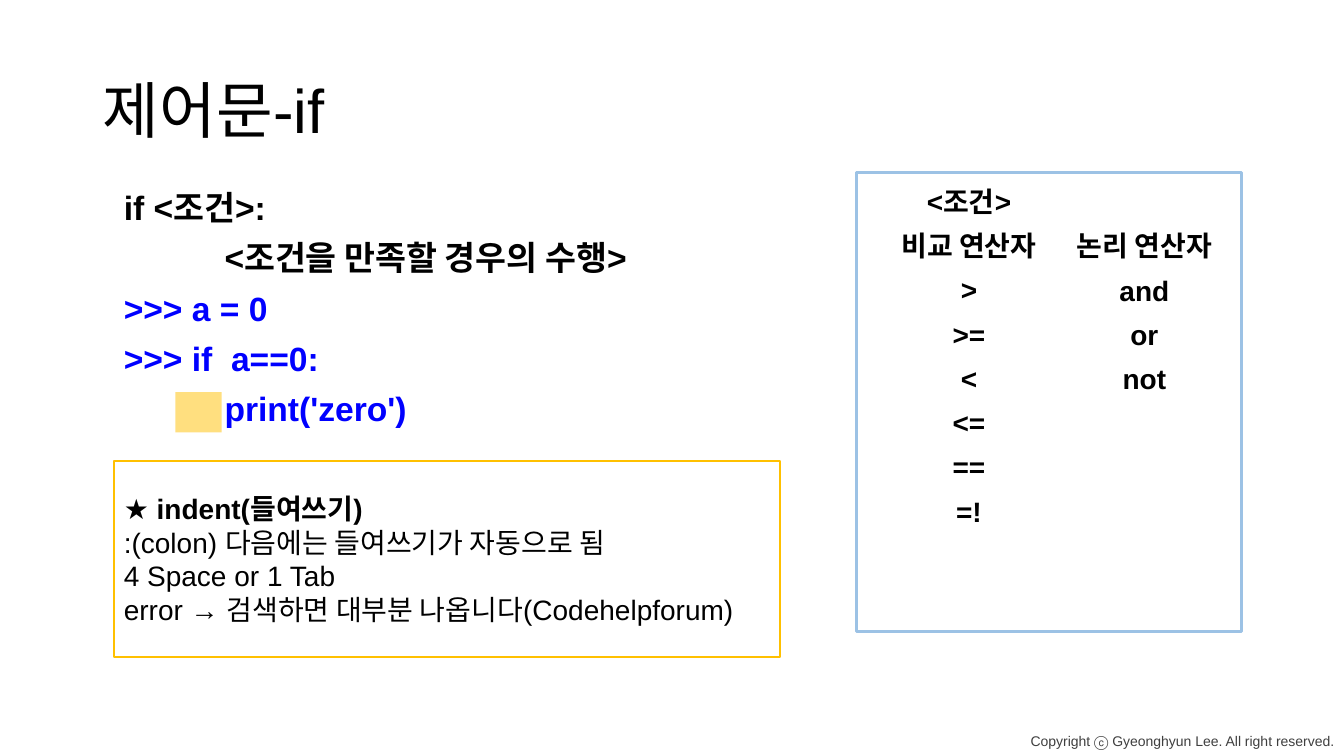
from lxml import etree
from pptx import Presentation
from pptx import util as u
from pptx.dml.color import RGBColor
from pptx.enum import shapes, text
from pptx.oxml import ns

BLACK = RGBColor(0x00, 0x00, 0x00)
GREY = RGBColor(0x3F, 0x3F, 0x3F)
CODE_BLUE = RGBColor(0x00, 0x00, 0xFF)
FRAME_BLUE = RGBColor(0x9C, 0xC2, 0xE5)
AMBER = RGBColor(0xFF, 0xC0, 0x00)
FONT = "Arial"


def write(paragraph, words, size=20, bold=False, color=BLACK, align=text.PP_ALIGN.LEFT,
          spacing=1.0, before=0, indent=0):
    paragraph.alignment = align
    paragraph.line_spacing = spacing
    paragraph.space_before = u.Pt(before)
    if indent:
        paragraph._p.get_or_add_pPr().set("marL", str(u.Cm(indent)))
    run = paragraph.add_run()
    run.text = words
    run.font.name = FONT
    run.font.size = u.Pt(size)
    run.font.bold = bold
    run.font.color.rgb = color


def add_lines(frame, lines, **common):
    frame.word_wrap = True
    for number, (words, extra) in enumerate(lines):
        paragraph = frame.add_paragraph() if number else frame.paragraphs[0]
        before = 10 if number and common.get("spacing") else 0
        write(paragraph, words, before=before, **{**common, **extra})


def add_text(slide, box, lines, **common):
    shape = slide.shapes.add_textbox(*map(u.Cm, box))
    add_lines(shape.text_frame, lines, **common)


def add_rectangle(slide, box, line=None, width=0, fill=None, opacity=100):
    shape = slide.shapes.add_shape(shapes.MSO_SHAPE.RECTANGLE, *map(u.Cm, box))
    shape.shadow.inherit = False
    if fill is None:
        shape.fill.background()
    else:
        shape.fill.solid()
        shape.fill.fore_color.rgb = fill
        color = shape.fill._xPr.find(".//" + ns.qn("a:srgbClr"))
        etree.SubElement(color, ns.qn("a:alpha"), val=str(opacity * 1000))
    if line is None:
        shape.line.fill.background()
    else:
        shape.line.color.rgb = line
        shape.line.width = u.Pt(width)
    return shape


def add_title(slide, box, words):
    title = slide.shapes.title
    title.left, title.top, title.width, title.height = map(u.Cm, box)
    title.text_frame.auto_size = text.MSO_AUTO_SIZE.NONE
    title.text_frame.vertical_anchor = text.MSO_ANCHOR.MIDDLE
    write(title.text_frame.paragraphs[0], words, size=44, spacing=0.9)


def add_syntax(slide, box):
    left, top, width, height = box
    blue = {"color": CODE_BLUE}
    lines = [("if <조건>:", {}),
             ("<조건을 만족할 경우의 수행>", {"indent": 2.54}),
             (">>> a = 0", blue),
             (">>> if  a==0:", blue),
             ("print('zero')", {**blue, "indent": 2.54})]
    add_text(slide, box, lines, size=24, bold=True, spacing=0.9)
    add_rectangle(slide, (left + 1.55, top + 5.18, 1.17, 1.02), fill=AMBER, opacity=50)


def add_operators(slide, box):
    left, top, width, height = box
    columns = [(0.25, 0.28, 11.07, ["<조건>", "비교 연산자", ">", ">=", "<", "<=", "==", "=!"]),
               (4.67, 1.4, 5.59, ["논리 연산자", "and", "or", "not"])]
    for x, y, column_height, words in columns:
        add_text(slide, (left + x, top + y, 5.16, column_height), [(word, {}) for word in words],
                 bold=True, align=text.PP_ALIGN.CENTER, spacing=0.9)
    add_rectangle(slide, box, line=FRAME_BLUE, width=2.25)


def add_indent_note(slide, box):
    note = add_rectangle(slide, box, line=AMBER, width=1.5)
    note.text_frame.vertical_anchor = text.MSO_ANCHOR.MIDDLE
    add_lines(note.text_frame, [("★ indent(들여쓰기)", {"bold": True}),
                                (":(colon) 다음에는 들여쓰기가 자동으로 됨", {}),
                                ("4 Space or 1 Tab", {}),
                                ("error → 검색하면 대부분 나옵니다(Codehelpforum)", {})])


def add_copyright(slide, box):
    add_text(slide, box, [("Copyright ⓒ Gyeonghyun Lee. All right reserved.", {})],
             size=10, color=GREY, align=text.PP_ALIGN.CENTER)


def build():
    """Build the slide on the if statement and save it."""
    presentation = Presentation()
    presentation.slide_width = u.Cm(33.87)
    presentation.slide_height = u.Cm(19.05)
    slide = presentation.slides.add_slide(presentation.slide_layouts[5])
    add_copyright(slide, (25.3, 18.34, 8.99, 0.69))
    add_title(slide, (2.34, 1.02, 29.21, 3.68), "제어문-if")
    add_syntax(slide, (2.87, 4.7, 16.26, 6.91))
    add_operators(slide, (21.59, 4.34, 9.7, 11.58))
    add_indent_note(slide, (2.87, 11.61, 16.79, 4.95))
    presentation.save("out.pptx")


build()
